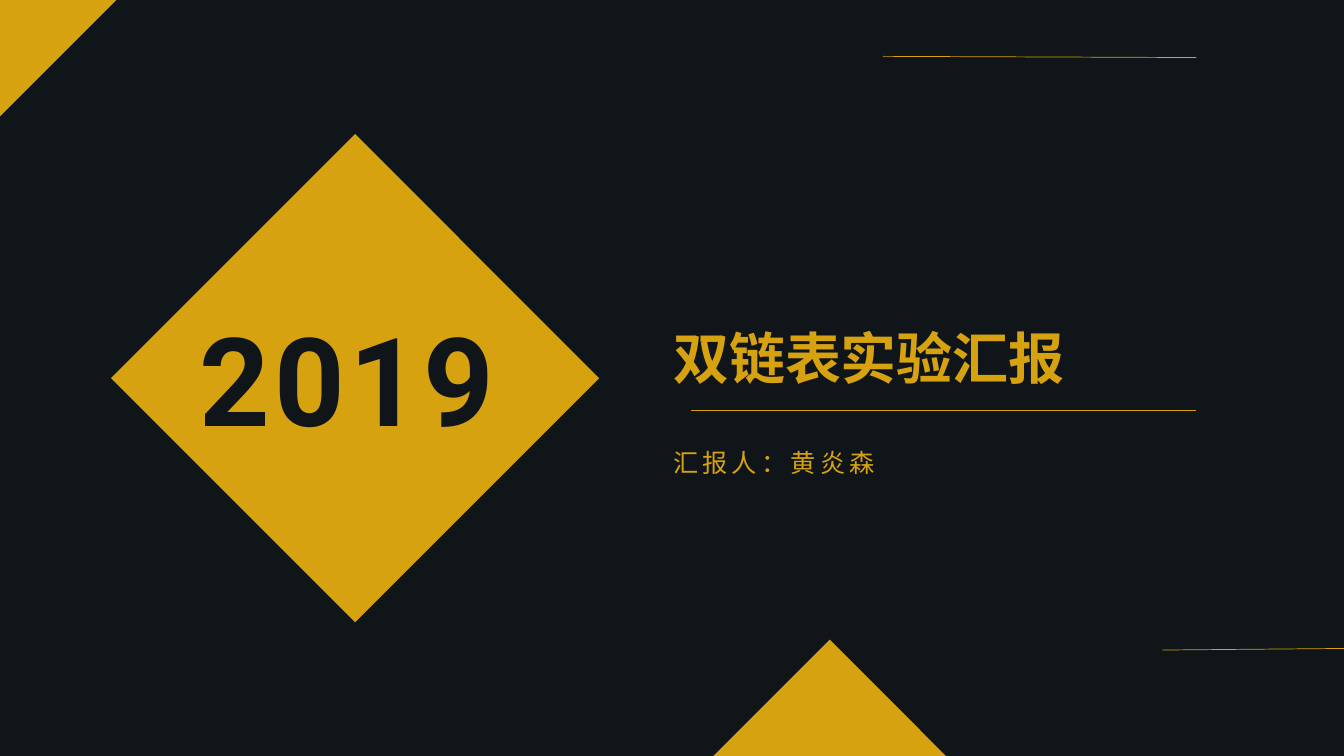
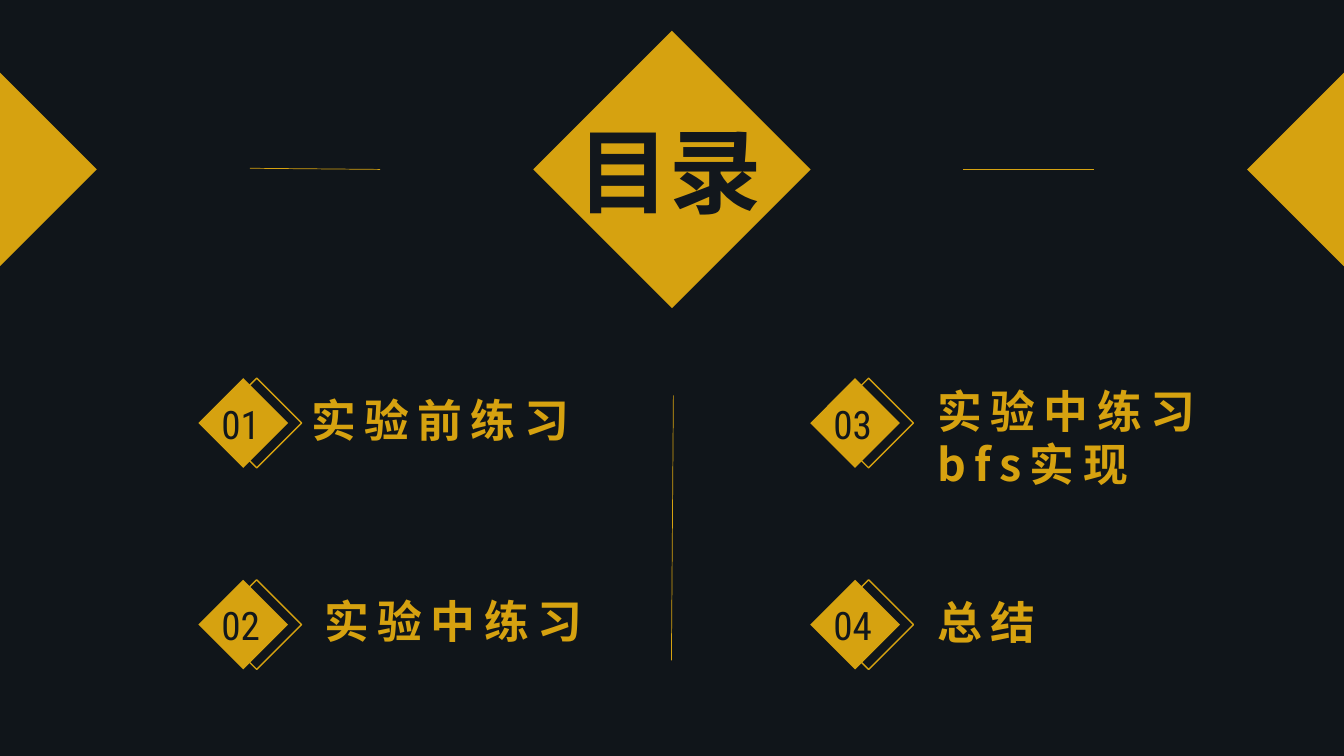
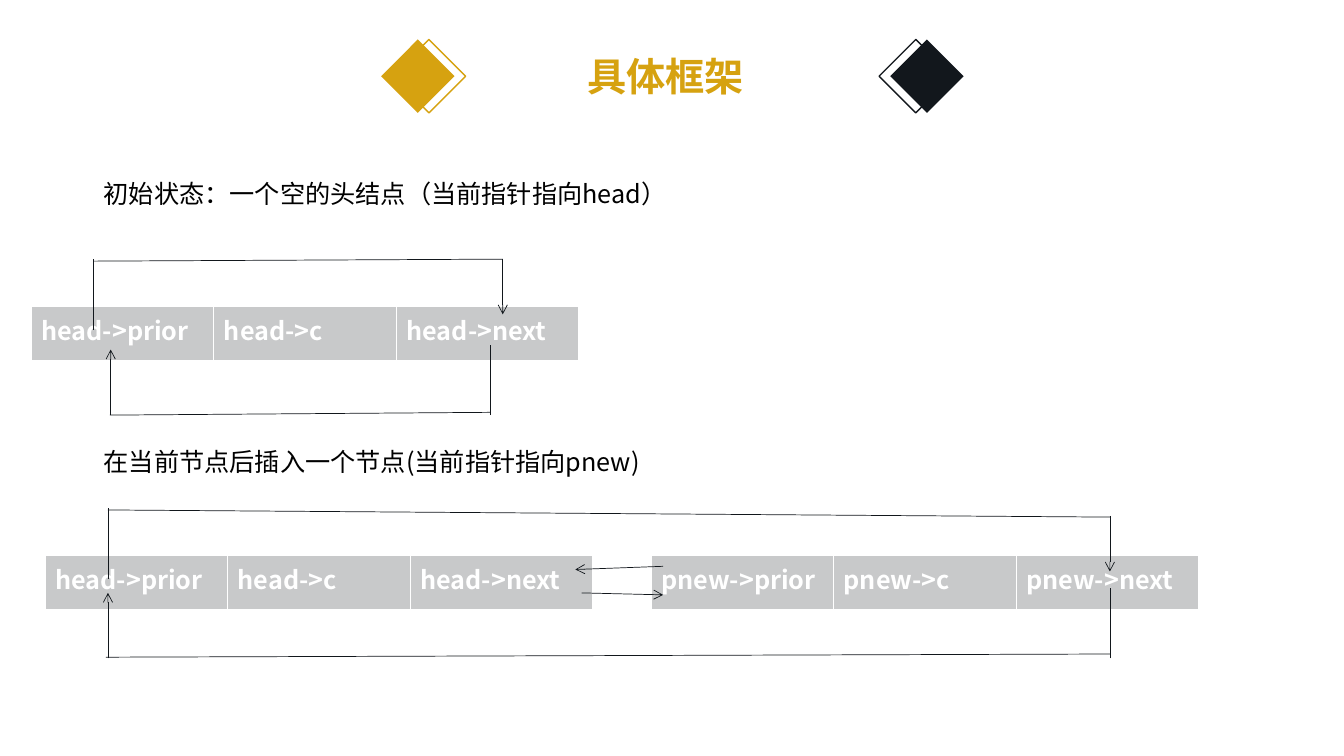
from dataclasses import dataclass
from typing import Any, Optional

import pptx
import pptx.dml.color
import pptx.enum.shapes
import pptx.enum.text
import pptx.oxml
import pptx.oxml.ns
import pptx.util
from pptx.util import Cm

# Shared look
GOLD = "D6A210"
INK = "12171C"
NIGHT = "10151A"
WHITE = "FFFFFF"
BLACK = "000000"
CJK_FONT = "Noto Sans CJK SC"
SLIDE_WIDTH, SLIDE_HEIGHT = 33.87, 19.05
TITLE_LAYOUT, TWO_CONTENT_LAYOUT, COMPARISON_LAYOUT = 0, 3, 4


@dataclass(frozen=True)
class Box:
    left: float
    top: float
    width: float
    height: float

    def lengths(self) -> tuple:
        return tuple(Cm(v) for v in (self.left, self.top, self.width, self.height))


@dataclass(frozen=True)
class TextStyle:
    size: float
    font: str
    colour: str
    bold: bool = False
    tracking: int = 0
    line_spacing: float = 1.0
    wrap: bool = True


@dataclass(frozen=True)
class Diamond:
    x: float
    y: float
    size: float
    colour: str = GOLD
    filled: bool = True


@dataclass(frozen=True)
class Line:
    x1: float
    y1: float
    x2: float
    y2: float
    arrow: bool = False


@dataclass(frozen=True)
class AgendaItem:
    number: str
    lines: tuple
    x: float
    y: float
    box: Box


@dataclass(frozen=True)
class NodeTable:
    node: str
    left: float
    top: float


COVER_TITLE = TextStyle(40, "Roboto Condensed", GOLD, bold=True)
COVER_PRESENTER = TextStyle(18, "Arial", GOLD, tracking=3, line_spacing=1.5)
COVER_YEAR = TextStyle(88, "Roboto", NIGHT, bold=True, tracking=3)
AGENDA_TITLE = TextStyle(66, "Arial", INK, bold=True)
AGENDA_NUMBER = TextStyle(28, "Roboto Condensed", INK)
AGENDA_TEXT = TextStyle(32, CJK_FONT, GOLD, bold=True, tracking=6)
CONTENT_TITLE = TextStyle(28, "Roboto", GOLD, bold=True, wrap=False)
CAPTION = TextStyle(18, CJK_FONT, BLACK)
TABLE_TEXT = TextStyle(18, CJK_FONT, WHITE, bold=True)


# Helpers
def rgb(colour: str) -> pptx.dml.color.RGBColor:
    return pptx.dml.color.RGBColor.from_string(colour)


def add_xml(parent: Any, tag: str, **attributes: str) -> Any:
    element = pptx.oxml.parse_xml(f"<a:{tag} {pptx.oxml.ns.nsdecls('a')}/>")
    for name, value in attributes.items():
        element.set(name, value)
    parent.append(element)
    return element


def set_all(target: Any, values: dict) -> None:
    for name, value in values.items():
        setattr(target, name, value)


def write_text(text_frame: Any, lines: tuple, style: TextStyle) -> None:
    for index, line in enumerate(lines):
        paragraph = text_frame.paragraphs[0] if index == 0 else text_frame.add_paragraph()
        set_all(paragraph, {
            "alignment": pptx.enum.text.PP_ALIGN.LEFT,
            "line_spacing": style.line_spacing,
            "space_before": pptx.util.Pt(0),
        })
        properties = paragraph._p.get_or_add_pPr()
        properties.set("marL", "0")
        properties.set("indent", "0")
        add_xml(properties, "buNone")
        run = paragraph.add_run()
        run.text = line
        set_all(run.font, {
            "size": pptx.util.Pt(style.size),
            "name": style.font,
            "bold": style.bold,
        })
        run.font.color.rgb = rgb(style.colour)
        run_properties = run._r.get_or_add_rPr()
        run_properties.set("spc", str(style.tracking * 100))
        add_xml(run_properties, "ea", typeface=CJK_FONT)


def format_text_shape(shape: Any, box: Box, lines: tuple, style: TextStyle) -> None:
    left, top, width, height = box.lengths()
    set_all(shape, {"left": left, "top": top, "width": width, "height": height})
    set_all(shape.text_frame, {
        "word_wrap": style.wrap,
        "auto_size": pptx.enum.text.MSO_AUTO_SIZE.NONE,
        "vertical_anchor": pptx.enum.text.MSO_ANCHOR.TOP,
    })
    write_text(shape.text_frame, lines, style)


def fill_placeholder(slide: Any, index: int, box: Box, lines: tuple, style: TextStyle) -> None:
    shape = next(s for s in slide.placeholders if s.placeholder_format.idx == index)
    format_text_shape(shape, box, lines, style)
    shape.element.getparent().append(shape.element)  # bring to front


def add_text(slide: Any, box: Box, lines: tuple, style: TextStyle) -> None:
    format_text_shape(slide.shapes.add_textbox(*box.lengths()), box, lines, style)


def add_diamond(slide: Any, diamond: Diamond) -> None:
    half = diamond.size / 2
    box = Box(diamond.x - half, diamond.y - half, diamond.size, diamond.size)
    shape = slide.shapes.add_shape(pptx.enum.shapes.MSO_SHAPE.DIAMOND, *box.lengths())
    shape.shadow.inherit = False
    if diamond.filled:
        shape.fill.solid()
        shape.fill.fore_color.rgb = rgb(diamond.colour)
        shape.line.fill.background()
    else:
        shape.fill.background()
        shape.line.color.rgb = rgb(diamond.colour)
        shape.line.width = pptx.util.Pt(1)


def add_diamond_pair(slide: Any, diamond: Diamond, offset: float) -> None:
    add_diamond(slide, diamond)
    add_diamond(slide, Diamond(diamond.x + offset, diamond.y, diamond.size,
                               diamond.colour, filled=False))


def add_line(slide: Any, line: Line, colour: str) -> None:
    connector = slide.shapes.add_connector(
        pptx.enum.shapes.MSO_CONNECTOR.STRAIGHT,
        Cm(line.x1), Cm(line.y1), Cm(line.x2), Cm(line.y2))
    connector.line.color.rgb = rgb(colour)
    connector.line.width = pptx.util.Pt(0.5)
    properties = connector.element.spPr
    if line.arrow:
        add_xml(properties.find(pptx.oxml.ns.qn("a:ln")), "tailEnd", type="arrow")
    add_xml(properties, "effectLst")


def add_node_table(slide: Any, node_table: NodeTable) -> None:
    fields = ("prior", "c", "next")
    box = Box(node_table.left, node_table.top, 4.6 * len(fields), 1.4)
    table = slide.shapes.add_table(1, len(fields), *box.lengths()).table
    for cell, field in zip(table.rows[0].cells, fields):
        write_text(cell.text_frame, (f"{node_table.node}->{field}",), TABLE_TEXT)
        properties = cell._tc.get_or_add_tcPr()
        for side, points in {"lnL": 1, "lnR": 1, "lnT": 1, "lnB": 3}.items():
            border = add_xml(properties, side, w=str(pptx.util.Pt(points)))
            add_xml(add_xml(border, "solidFill"), "srgbClr", val=WHITE)
        cell.fill.solid()
        cell.fill.fore_color.rgb = rgb(INK)
        colour = properties.find(pptx.oxml.ns.qn("a:solidFill"))[0]
        add_xml(colour, "alpha", val="23000")


def add_slide(presentation: Any, layout: int, background: Optional[str] = None) -> Any:
    slide = presentation.slides.add_slide(presentation.slide_layouts[layout])
    slide.background.fill.solid()
    slide.background.fill.fore_color.rgb = rgb(background or WHITE)
    return slide


# Cover
def build_cover(presentation: Any) -> None:
    slide = add_slide(presentation, TITLE_LAYOUT, NIGHT)
    for diamond in (Diamond(0, 0, 5.86), Diamond(20.91, SLIDE_HEIGHT, 5.86),
                    Diamond(8.95, 9.53, 12.3)):
        add_diamond(slide, diamond)
    fill_placeholder(slide, 0, Box(16.71, 8.03, 15.52, 1.96), ("双链表实验汇报",), COVER_TITLE)
    fill_placeholder(slide, 1, Box(16.71, 10.77, 16.59, 1.4), ("汇报人：黄炎森",), COVER_PRESENTER)
    add_text(slide, Box(4.78, 7.52, 8.38, 4.01), ("2019",), COVER_YEAR)
    for line in (Line(17.42, 10.34, 30.15, 10.34), Line(22.25, 1.42, 30.15, 1.45),
                 Line(29.29, 16.38, 35.1, 16.33)):
        add_line(slide, line, GOLD)


# Agenda
def build_agenda(presentation: Any) -> None:
    slide = add_slide(presentation, COMPARISON_LAYOUT, NIGHT)
    middle = SLIDE_WIDTH / 2
    for x, size in ((0, 4.88), (middle, 6.99), (SLIDE_WIDTH, 4.88)):
        add_diamond(slide, Diamond(x, 4.27, size))
    fill_placeholder(slide, 0, Box(14.3, 2.74, 6.12, 3.07), ("目录",), AGENDA_TITLE)

    left, right, upper, lower = 6.13, 21.55, 10.66, 15.74
    items = (
        AgendaItem("01", ("实验前练习",), left, upper, Box(7.59, 9.78, 8.43, 1.63)),
        AgendaItem("02", ("实验中练习",), left, lower, Box(7.92, 14.83, 8.28, 3)),
        AgendaItem("03", ("实验中练习", "bfs实现"), right, upper, Box(23.37, 9.53, 11.05, 3.76)),
        AgendaItem("04", ("总结",), right, lower, Box(23.37, 14.86, 6.99, 2.39)),
    )
    for index, item in enumerate(items, start=1):
        add_diamond_pair(slide, Diamond(item.x, item.y, 2.26), 0.34)
        add_text(slide, Box(item.x - 0.8, item.y - 0.7, 1.95, 1.45), (item.number,), AGENDA_NUMBER)
        fill_placeholder(slide, index, item.box, item.lines, AGENDA_TEXT)

    for line in (Line(16.97, 9.96, 16.92, 16.64), Line(27.56, 4.27, 24.28, 4.27),
                 Line(9.58, 4.27, 6.3, 4.24)):
        add_line(slide, line, GOLD)


# Linked list structure
def build_structure(presentation: Any) -> None:
    slide = add_slide(presentation, TWO_CONTENT_LAYOUT)
    add_diamond_pair(slide, Diamond(10.53, 1.92, 1.85), 0.28)
    add_diamond_pair(slide, Diamond(23.36, 1.92, 1.85, INK), -0.28)
    fill_placeholder(slide, 0, Box(14.55, 1.19, 4.47, 1.45), ("具体框架",), CONTENT_TITLE)
    fill_placeholder(slide, 1, Box(2.36, 4.37, 16.03, 1.02),
                     ("初始状态：一个空的头结点（当前指针指向head）",), CAPTION)
    fill_placeholder(slide, 2, Box(2.36, 11.13, 14.05, 1.02),
                     ("在当前节点后插入一个节点(当前指针指向pnew)",), CAPTION)

    for node_table in (NodeTable("head", 0.79, 7.72), NodeTable("head", 1.14, 14),
                       NodeTable("pnew", 16.41, 14)):
        add_node_table(slide, node_table)

    empty_list_links = (
        Line(2.36, 8.31, 2.36, 6.53),
        Line(2.36, 6.58, 12.67, 6.53),
        Line(12.67, 6.53, 12.67, 7.92, arrow=True),
        Line(12.37, 10.46, 12.37, 8.69),
        Line(2.77, 10.46, 12.37, 10.39),
        Line(2.79, 10.46, 2.79, 8.81, arrow=True),
    )
    inserted_node_links = (
        Line(2.72, 14.6, 2.72, 12.8),
        Line(2.72, 12.85, 27.97, 13.03),
        Line(27.97, 13, 27.97, 14.4, arrow=True),
        Line(27.97, 16.59, 27.97, 14.81),
        Line(2.67, 16.56, 27.97, 16.48),
        Line(2.72, 16.59, 2.72, 14.94, arrow=True),
        Line(16.71, 14.27, 14.5, 14.35, arrow=True),
        Line(14.66, 14.94, 16.71, 14.99, arrow=True),
    )
    for line in empty_list_links + inserted_node_links:
        add_line(slide, line, INK)


def main() -> None:
    presentation = pptx.Presentation()
    set_all(presentation, {"slide_width": Cm(SLIDE_WIDTH), "slide_height": Cm(SLIDE_HEIGHT)})
    build_cover(presentation)
    build_agenda(presentation)
    build_structure(presentation)
    presentation.save("out.pptx")


main()
